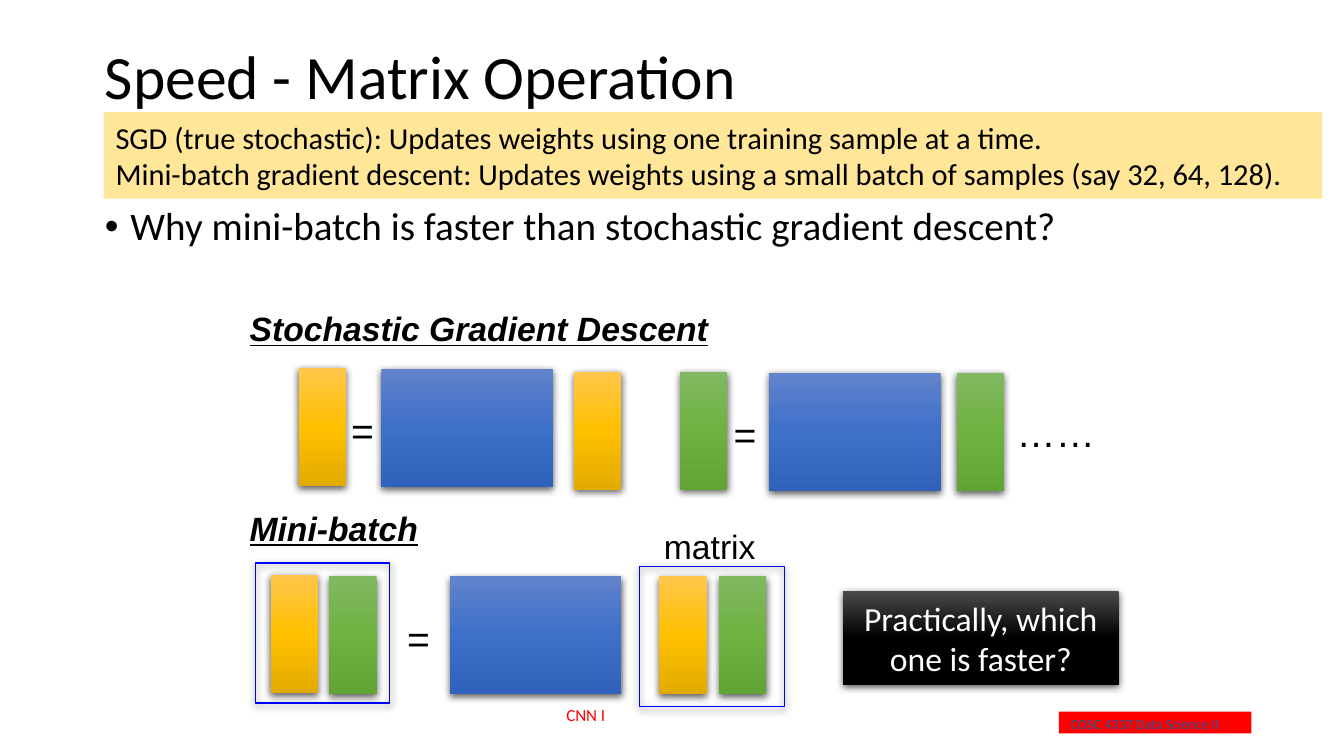
from dataclasses import dataclass

from lxml import etree
from pptx import Presentation
from pptx import util as u
from pptx.dml.color import RGBColor
from pptx.enum import shapes, text
from pptx.oxml import ns
from pptx.shapes.autoshape import Shape
from pptx.slide import Slide
from pptx.text.text import TextFrame

PX = 9144
PAGE = (u.Emu(10085388), u.Emu(5673725))
BLACK = RGBColor(0x00, 0x00, 0x00)
WHITE = RGBColor(0xFF, 0xFF, 0xFF)
RED = RGBColor(0xFF, 0x00, 0x00)
NAVY = RGBColor(0x2F, 0x55, 0x97)
EDGE = RGBColor(0x00, 0x00, 0xFF)
CREAM = RGBColor(0xFF, 0xE6, 0x99)
BLUE = (RGBColor(0x61, 0x83, 0xCB), RGBColor(0x3E, 0x70, 0xCA), RGBColor(0x30, 0x62, 0xBB))
GOLD = (RGBColor(0xFF, 0xC6, 0x4B), RGBColor(0xFF, 0xC0, 0x00), RGBColor(0xE3, 0xAB, 0x00))
GREEN = (RGBColor(0x81, 0xB8, 0x61), RGBColor(0x6F, 0xB2, 0x42), RGBColor(0x62, 0xA3, 0x36))
DARK = (RGBColor(0x4B, 0x4B, 0x4B), BLACK, BLACK)
LEFT, MID = text.PP_ALIGN.LEFT, text.PP_ALIGN.CENTER
TALL = 97
THIN = 39
WIDE = 141


@dataclass(frozen=True)
class Box:
    left: int
    top: int
    width: int
    height: int

    def emu(self) -> tuple[int, int, int, int]:
        return self.left * PX, self.top * PX, self.width * PX, self.height * PX


@dataclass(frozen=True)
class Face:
    size: float
    font: str = "Arial"
    color: RGBColor = BLACK
    align: text.PP_ALIGN = LEFT
    strong: bool = False


@dataclass(frozen=True)
class Label:
    box: Box
    words: str
    face: Face


@dataclass(frozen=True)
class Block:
    left: int
    top: int
    width: int
    tint: tuple[RGBColor, ...]


HEAD = Face(19.9, strong=True)
SIGN = Face(23.1, align=MID)

LABELS = (
    Label(Box(869, 582, 270, 24), "COSC 4337 Data Science II", Face(8.3, "Calibri", NAVY)),
    Label(Box(455, 573, 333, 27), "CNN I", Face(10, "Calibri", RED)),
    Label(Box(195, 248, 532, 44), "Stochastic Gradient Descent", HEAD),
    Label(Box(195, 412, 385, 44), "Mini-batch", HEAD),
    Label(Box(522, 427, 121, 44), "matrix", Face(19.9, align=MID)),
    Label(Box(272, 329, 51, 49), "=", SIGN),
    Label(Box(586, 332, 51, 49), "=", SIGN),
    Label(Box(318, 499, 51, 49), "=", SIGN),
    Label(Box(820, 330, 93, 49), "……", SIGN),
)

BLOCKS = (
    Block(245, 302, THIN, GOLD),
    Block(313, 303, WIDE, BLUE),
    Block(471, 305, THIN, GOLD),
    Block(558, 305, THIN, GREEN),
    Block(631, 306, WIDE, BLUE),
    Block(785, 306, THIN, GREEN),
    Block(222, 472, THIN, GOLD),
    Block(270, 473, THIN, GREEN),
    Block(369, 473, WIDE, BLUE),
    Block(541, 473, THIN, GOLD),
    Block(590, 473, THIN, GREEN),
)

FRAMES = (Box(210, 462, 110, 115), Box(525, 465, 119, 115))


def write(frame: TextFrame, lines: tuple[str, ...], face: Face) -> None:
    frame.word_wrap = True
    for i, line in enumerate(lines):
        para = frame.paragraphs[0] if i == 0 else frame.add_paragraph()
        para.alignment = face.align
        run = para.add_run()
        run.text = line
        font = run.font
        font.size = u.Pt(face.size)
        font.name = face.font
        font.color.rgb = face.color
        if face.strong:
            font.bold = font.italic = font.underline = True


def rect(slide: Slide, box: Box) -> Shape:
    shape = slide.shapes.add_shape(shapes.MSO_SHAPE.RECTANGLE, *box.emu())
    shape.shadow.inherit = False
    shape.line.fill.background()
    return shape


def flat(slide: Slide, box: Box, color: RGBColor) -> Shape:
    shape = rect(slide, box)
    shape.fill.solid()
    shape.fill.fore_color.rgb = color
    return shape


def shade(shape: Shape) -> None:
    glow = shape._element.spPr.find(ns.qn("a:effectLst"))
    cast = etree.SubElement(glow, ns.qn("a:outerShdw"), blurRad="57150",
                            dist="19050", dir="5400000", algn="ctr", rotWithShape="0")
    tone = etree.SubElement(cast, ns.qn("a:srgbClr"), val=str(BLACK))
    etree.SubElement(tone, ns.qn("a:alpha"), val="63000")


def blend(slide: Slide, box: Box, tint: tuple[RGBColor, ...]) -> Shape:
    shape = rect(slide, box)
    fill = shape.fill
    fill.gradient()
    fill.gradient_angle = 270
    stops = shape._element.spPr.find(".//" + ns.qn("a:gsLst"))
    last = etree.SubElement(stops, ns.qn("a:gs"), pos="100000")
    etree.SubElement(last, ns.qn("a:srgbClr"), val=str(tint[-1]))
    for i, (stop, color) in enumerate(zip(fill.gradient_stops, tint)):
        stop.position = i / 2
        stop.color.rgb = color
    shade(shape)
    return shape


def outline(slide: Slide, box: Box) -> None:
    shape = rect(slide, box)
    shape.fill.background()
    shape.line.color.rgb = EDGE
    shape.line.width = u.Pt(0.75)
    shade(shape)


def label(slide: Slide, item: Label) -> None:
    area = slide.shapes.add_textbox(*item.box.emu())
    write(area.text_frame, (item.words,), item.face)


def holder(shape: Shape, box: Box, words: str, size: float) -> None:
    shape.left, shape.top, shape.width, shape.height = box.emu()
    frame = shape.text_frame
    frame.vertical_anchor = text.MSO_ANCHOR.TOP
    frame.margin_left = frame.margin_right = 10 * PX
    frame.margin_top = frame.margin_bottom = 5 * PX
    write(frame, (words,), Face(size, "Calibri"))
    para = frame.paragraphs[0]
    para.line_spacing = 0.9
    para.space_before = u.Pt(0)


def bullet(shape: Shape) -> None:
    props = shape.text_frame.paragraphs[0]._p.get_or_add_pPr()
    props.set("marL", str(21 * PX))
    props.set("indent", str(-21 * PX))
    etree.SubElement(props, ns.qn("a:buFont"), typeface="Arial")
    etree.SubElement(props, ns.qn("a:buChar"), char="•")


def main() -> None:
    deck = Presentation()
    deck.slide_width, deck.slide_height = PAGE
    slide = deck.slides.add_slide(deck.slide_layouts[1])
    title, body = slide.placeholders
    holder(title, Box(76, 33, 951, 120), "Speed - Matrix Operation", 36.4)
    holder(body, Box(76, 165, 951, 393),
           "Why mini-batch is faster than stochastic gradient descent?", 23.1)
    bullet(body)

    flat(slide, Box(869, 584, 158, 18), RED)
    for box in FRAMES:
        outline(slide, box)
    for part in BLOCKS:
        blend(slide, Box(part.left, part.top, part.width, TALL), part.tint)
    for item in LABELS:
        label(slide, item)

    ask = blend(slide, Box(692, 485, 226, 77), DARK)
    write(ask.text_frame, ("Practically, which one is faster?",),
          Face(19.9, "Calibri", WHITE, MID))
    note = flat(slide, Box(85, 92, 1000, 71), CREAM)
    write(note.text_frame, (
        "SGD (true stochastic): Updates weights using one training sample at a time.",
        "Mini-batch gradient descent: Updates weights using a small batch of samples "
        "(say 32, 64, 128).",
    ), Face(18, "Calibri"))
    deck.save("out.pptx")


if __name__ == "__main__":
    main()
